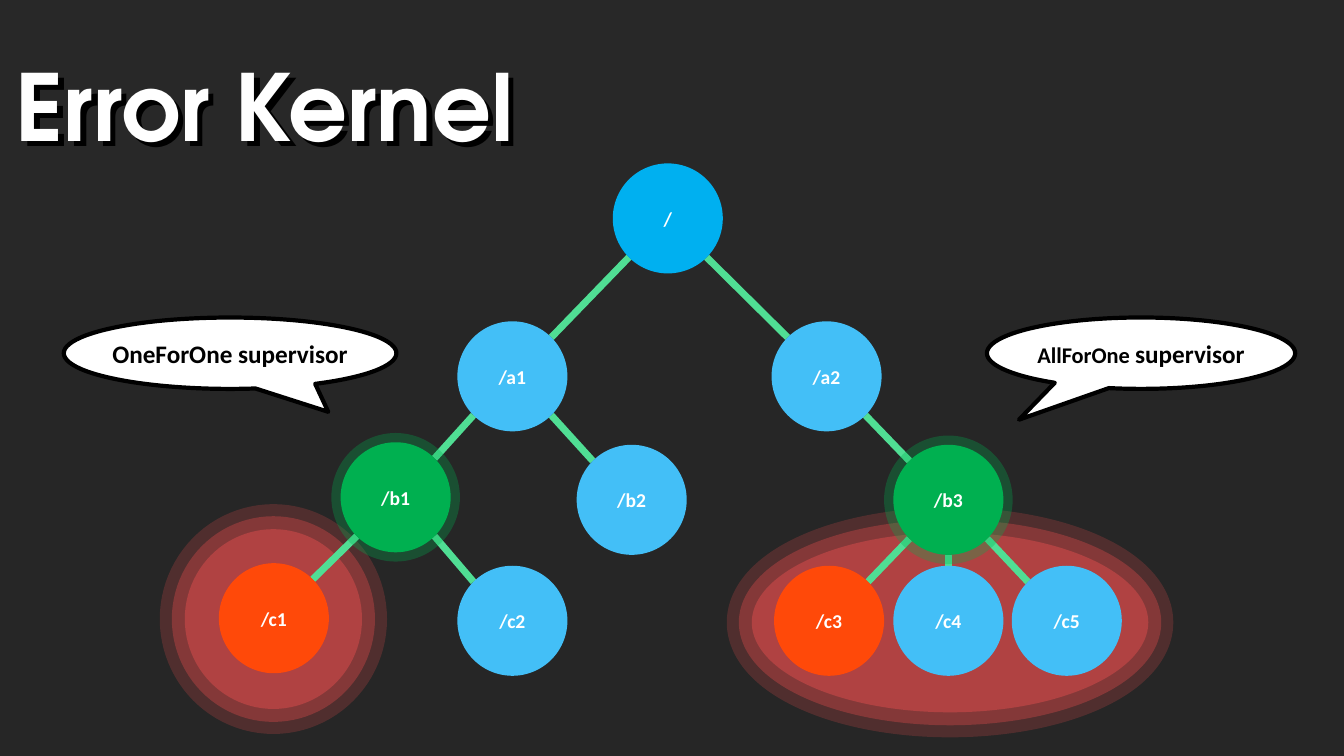
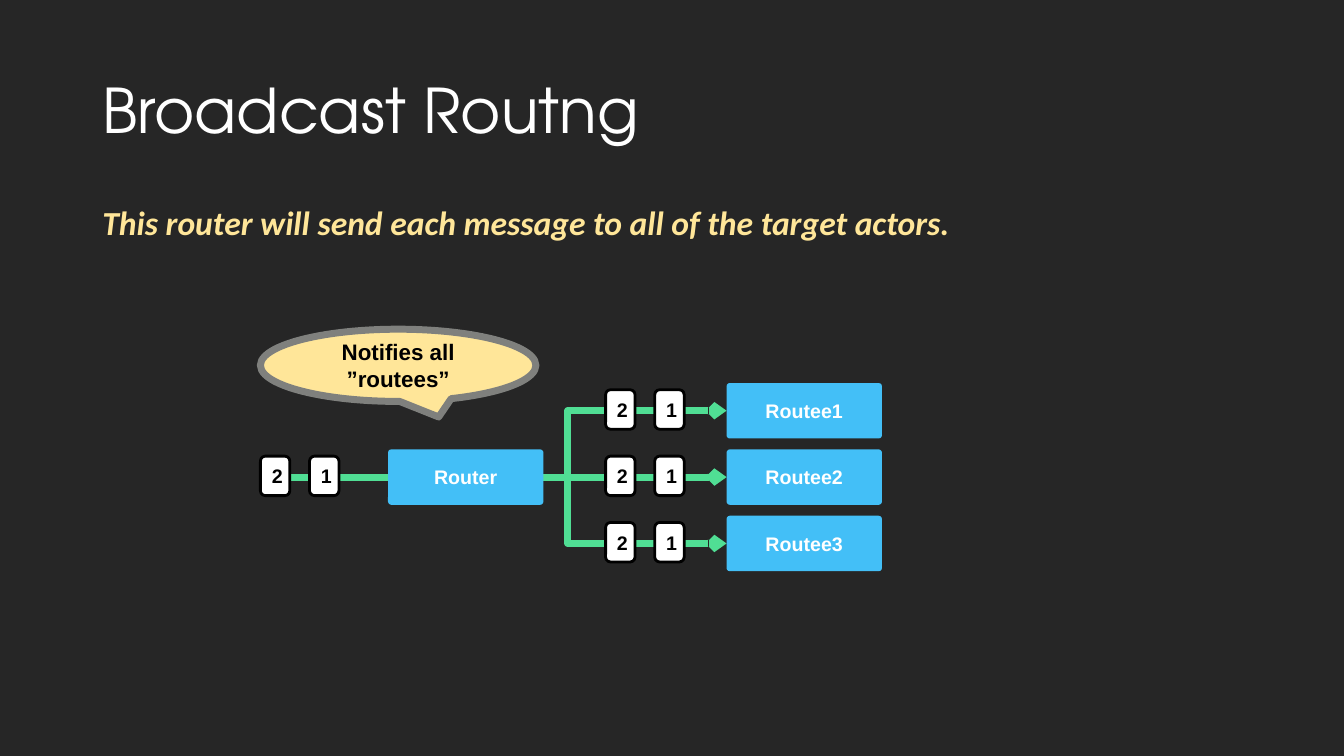
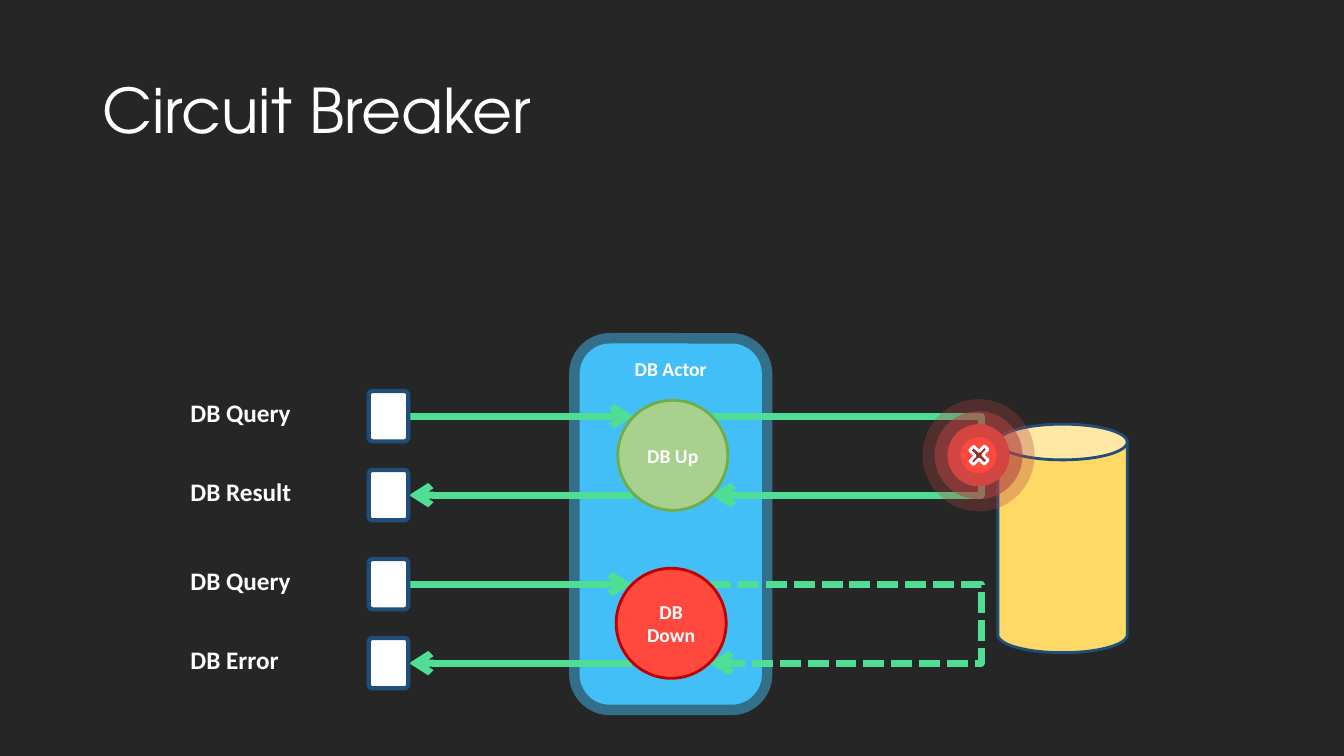
from dataclasses import dataclass
from math import sqrt
from typing import Optional

from lxml import etree
from pptx import Presentation
from pptx.dml.color import RGBColor
from pptx.enum.dml import MSO_LINE_DASH_STYLE
from pptx.enum.shapes import MSO_CONNECTOR, MSO_SHAPE
from pptx.enum.text import MSO_ANCHOR, MSO_AUTO_SIZE, PP_ALIGN
from pptx.oxml.ns import qn
from pptx.util import Emu, Pt

# The slide is a grid of 160 columns by 90 rows of square cells.
COLUMNS, ROWS = 160, 90
CELL = 76200

COLORS = {
    "background": "262626", "band": "282828", "white": "FFFFFF", "black": "000000",
    "link": "50DE94", "node": "43BFF7", "root": "00B0F0", "supervisor": "00B050",
    "failed": "FF4909", "halo": "B04242", "cream": "FFE699", "gray": "7F807D",
    "database": "FFD966", "navy": "1F4E79", "up": "A9D18E", "up_edge": "70AD47",
    "down": "FF493E", "down_edge": "C00000", "cross": "922E2E",
}
TITLE_FONT, BODY_FONT, LABEL_FONT = "TeX Gyre Adventor", "Calibri", "Arial"
ELLIPSE, ROUNDED = MSO_SHAPE.OVAL, MSO_SHAPE.ROUNDED_RECTANGLE
CALLOUT, CAN, CROSS = MSO_SHAPE.OVAL_CALLOUT, MSO_SHAPE.CAN, MSO_SHAPE.CROSS
STRAIGHT, ELBOW = MSO_CONNECTOR.STRAIGHT, MSO_CONNECTOR.ELBOW
LEFT, CENTER = PP_ALIGN.LEFT, PP_ALIGN.CENTER
TOP, MIDDLE = MSO_ANCHOR.TOP, MSO_ANCHOR.MIDDLE
DASHED = MSO_LINE_DASH_STYLE.SQUARE_DOT
LINK_WIDTH = 5
DIAMETER = 13.1


@dataclass(frozen=True)
class Box:
    left: float
    top: float
    width: float
    height: float

    def emu(self) -> list[Emu]:
        return [cells(value) for value in (self.left, self.top, self.width, self.height)]


@dataclass(frozen=True)
class Outline:
    color: str
    width: float
    opacity: int = 100


@dataclass(frozen=True)
class TextStyle:
    size: float
    color: str = "white"
    font: str = BODY_FONT
    bold: bool = True
    italic: bool = False
    align: PP_ALIGN = CENTER
    anchor: MSO_ANCHOR = MIDDLE
    wrap: bool = True
    spacing: float = 1.0


@dataclass(frozen=True)
class Node:
    name: str
    x: float
    y: float
    color: str = "node"
    parent: Optional[str] = None


@dataclass(frozen=True)
class Circuit:
    """One state of the database actor with its request and reply lanes."""
    state: str
    x: float
    y: float
    color: str
    edge: str
    reply: str
    dashed: bool


NODE_TEXT = TextStyle(14)
CARD_TEXT = TextStyle(14, "black", LABEL_FONT)
ROUTE_TEXT = TextStyle(14, font=LABEL_FONT)
LANE_TEXT = TextStyle(18, align=LEFT)
TITLE_TEXT = TextStyle(44, font=TITLE_FONT, bold=False, align=LEFT, spacing=0.9)
BIG_TITLE_TEXT = TextStyle(66, font=TITLE_FONT, align=LEFT, anchor=TOP)
TITLE_BOX = Box(11, 4.8, 138, 17.4)

NODES = [
    Node("/", 79.5, 26, "root"),
    Node("/a1", 61, 44.8, parent="/"),
    Node("/a2", 98.4, 44.8, parent="/"),
    Node("/b1", 47.1, 59.2, "supervisor", "/a1"),
    Node("/b2", 75.2, 59.5, parent="/a1"),
    Node("/b3", 112.9, 59.5, "supervisor", "/a2"),
    Node("/c1", 32.6, 73.6, "failed", "/b1"),
    Node("/c2", 61, 73.9, parent="/b1"),
    Node("/c3", 98.7, 73.9, "failed", "/b3"),
    Node("/c4", 112.9, 73.9, parent="/b3"),
    Node("/c5", 127, 73.9, parent="/b3"),
]
CIRCUITS = [
    Circuit("DB Up", 80.1, 54.2, "up", "up_edge", "DB Result", False),
    Circuit("DB Down", 79.9, 74.2, "down", "down_edge", "DB Error", True),
]


def cells(count: float) -> Emu:
    return Emu(round(count * CELL))


def rgb(name: str) -> RGBColor:
    return RGBColor.from_string(COLORS[name])


def set_opacity(parent, percent: int) -> None:
    """Make the solid colour directly inside a fill or line element see-through."""
    color = parent.find(qn("a:solidFill")).find(qn("a:srgbClr"))
    etree.SubElement(color, qn("a:alpha"), val=str(percent * 1000))


def set_outline(shape, outline: Outline) -> None:
    shape.line.color.rgb = rgb(outline.color)
    shape.line.width = Pt(outline.width)
    if outline.opacity < 100:
        set_opacity(shape.element.spPr.find(qn("a:ln")), outline.opacity)


def add_arrowhead(shape, size: str) -> None:
    line = shape.element.spPr.find(qn("a:ln"))
    etree.SubElement(line, qn("a:tailEnd"), type="arrow", w=size, len=size)


def write(shape, text: str, style: TextStyle) -> None:
    frame = shape.text_frame
    frame.text = text
    frame.word_wrap = style.wrap
    frame.auto_size = MSO_AUTO_SIZE.NONE
    frame.vertical_anchor = style.anchor
    paragraph = frame.paragraphs[0]
    paragraph.alignment = style.align
    paragraph.line_spacing = style.spacing
    for run in paragraph.runs:
        format_run(run, style)


def format_run(run, style: TextStyle) -> None:
    run.font.name = style.font
    run.font.size = Pt(style.size)
    run.font.bold = style.bold
    run.font.italic = style.italic
    run.font.color.rgb = rgb(style.color)


def add_shape(slide, kind: MSO_SHAPE, box: Box, fill: Optional[str] = None,
              outline: Optional[Outline] = None, adjustments: tuple[float, ...] = ()):
    shape = slide.shapes.add_shape(kind, *box.emu())
    shape.shadow.inherit = False
    for index, value in enumerate(adjustments):
        shape.adjustments[index] = value
    if fill:
        shape.fill.solid()
        shape.fill.fore_color.rgb = rgb(fill)
    else:
        shape.fill.background()
    if outline:
        set_outline(shape, outline)
    else:
        shape.line.fill.background()
    return shape


def add_text(slide, box: Box, text: str, style: TextStyle) -> None:
    write(slide.shapes.add_textbox(*box.emu()), text, style)


def add_circle(slide, x: float, y: float, text: str, fill: str,
               outline: Optional[Outline] = None) -> None:
    radius = DIAMETER / 2
    box = Box(x - radius, y - radius, DIAMETER, DIAMETER)
    write(add_shape(slide, ELLIPSE, box, fill, outline), text, NODE_TEXT)


def add_halo(slide, box: Box, fill: str) -> None:
    """A filled ellipse inside two see-through rings."""
    add_shape(slide, ELLIPSE, box, outline=Outline("halo", 35.75, 31))
    add_shape(slide, ELLIPSE, box, fill, Outline("halo", 18.5, 54))


def add_link(slide, x1: float, y1: float, x2: float, y2: float,
             kind: MSO_CONNECTOR = STRAIGHT, head: Optional[str] = None):
    link = slide.shapes.add_connector(kind, cells(x1), cells(y1), cells(x2), cells(y2))
    set_outline(link, Outline("link", LINK_WIDTH))
    if head:
        add_arrowhead(link, head)
    etree.SubElement(link.element.spPr, qn("a:effectLst"))
    return link


def add_title(slide, text: str, box: Box = TITLE_BOX, style: TextStyle = TITLE_TEXT):
    """Fill the title placeholder and bring it to the front."""
    title = slide.shapes.title
    title.left, title.top, title.width, title.height = box.emu()
    write(title, text, style)
    title.element.getparent().append(title.element)
    return title


def add_hard_shadow(shape) -> None:
    effects = etree.SubElement(shape.element.spPr, qn("a:effectLst"))
    shadow = etree.SubElement(effects, qn("a:outerShdw"), blurRad="0", dist="70000",
                              dir="2700000", algn="tl", rotWithShape="0")
    etree.SubElement(shadow, qn("a:srgbClr"), val=COLORS["black"])


def link_nodes(slide, parent: Node, child: Node) -> None:
    """Join two circles at their diagonal points, or straight down if aligned."""
    radius = DIAMETER / 2
    side = (child.x > parent.x) - (child.x < parent.x)
    drop = radius / sqrt(2) if side else radius
    shift = side * drop
    add_link(slide, parent.x + shift, parent.y + drop, child.x - shift, child.y - drop)


def draw_error_kernel(slide) -> None:
    shade = add_shape(slide, ROUNDED, Box(0, 34.6, COLUMNS, 3.5), "band", adjustments=(0,))
    set_opacity(shade.element.spPr, 50)
    add_halo(slide, Box(89.5, 63.4, 47.2, 21.4), "halo")
    add_halo(slide, Box(22, 63, 21.1, 21.4), "halo")
    add_shape(slide, ROUNDED, Box(0, 0, COLUMNS, 34.6), "band", adjustments=(0,))
    by_name = {node.name: node for node in NODES}
    for node in NODES:
        if node.parent:
            link_nodes(slide, by_name[node.parent], node)
    # Supervisors come last so that their rings lie over the links.
    for node in sorted(NODES, key=lambda item: item.color == "supervisor"):
        ring = Outline("supervisor", 13.25, 30) if node.color == "supervisor" else None
        add_circle(slide, node.x, node.y, node.name, node.color, ring)
    title = add_title(slide, "Error Kernel", Box(0.7, 5.2, 139.8, 14.5), BIG_TITLE_TEXT)
    add_hard_shadow(title)

    callouts = [
        (Box(7.6, 37.8, 39.6, 8.5), (0.295, 0.821), "OneForOne ", 18),
        (Box(117.5, 37.8, 36.7, 8.5), (-0.396, 0.931), "AllForOne ", 16),
    ]
    for box, pointer, strategy, size in callouts:
        callout = add_shape(slide, CALLOUT, box, "white", Outline("black", 3), pointer)
        write(callout, strategy, TextStyle(size, "black", wrap=False))
        run = callout.text_frame.paragraphs[0].add_run()
        run.text = "supervisor"
        format_run(run, TextStyle(18, "black"))


def add_messages(slide, left: float, lane: float) -> None:
    for index, number in enumerate("21"):
        box = Box(left + index * 5.85, lane - 2.5, 3.5, 4.7)
        card = add_shape(slide, ROUNDED, box, "white", Outline("black", 2))
        write(card, number, CARD_TEXT)


def add_route_box(slide, left: float, lane: float, name: str) -> None:
    box = Box(left, lane - 3.3, 18.5, 6.6)
    write(add_shape(slide, ROUNDED, box, "node", adjustments=(0.06,)), name, ROUTE_TEXT)


def draw_broadcast_routing(slide) -> None:
    add_title(slide, "Broadcast Routng")
    add_text(slide, Box(11, 24, 138, 57.1),
             "This router will send each message to all of the target actors.",
             TextStyle(24, "cream", italic=True, align=LEFT, anchor=TOP, spacing=0.9))
    router_left, routee_left, center = 46.2, 86.5, 56.8
    router_right = router_left + 18.5
    lanes = [center + step * 7.9 for step in (-1, 0, 1)]
    for lane in lanes:
        kind = STRAIGHT if lane == center else ELBOW
        link = add_link(slide, router_right, center, routee_left, lane, kind, "sm")
        if kind == ELBOW:
            guides = link.element.spPr.find(qn("a:prstGeom")).find(qn("a:avLst"))
            etree.SubElement(guides, qn("a:gd"), name="adj1", fmla="val 13400")
    add_link(slide, 33, center, router_left, center)
    add_messages(slide, 31, center)
    add_route_box(slide, router_left, center, "Router")
    for number, lane in enumerate(lanes, start=1):
        add_messages(slide, 72.1, lane)
        add_route_box(slide, routee_left, lane, f"Routee{number}")
    callout = add_shape(slide, CALLOUT, Box(31, 39.2, 32.8, 8.6), "cream",
                        Outline("gray", 5), (0.147, 0.715))
    write(callout, "Notifies all ”routees”", TextStyle(16, "black", LABEL_FONT))


def add_loop(slide, left: float, right: float, top: float, bottom: float,
             dashed: bool) -> None:
    """An arrow that runs right, down and back left."""
    corners = [(right, top), (right, bottom), (left, bottom)]
    builder = slide.shapes.build_freeform(cells(left), cells(top))
    builder.add_line_segments([(cells(x), cells(y)) for x, y in corners], close=False)
    loop = builder.convert_to_shape()
    loop.shadow.inherit = False
    loop.fill.background()
    set_outline(loop, Outline("link", LINK_WIDTH))
    if dashed:
        loop.line.dash_style = DASHED
    add_arrowhead(loop, "med")


def draw_circuit(slide, circuit: Circuit) -> None:
    request, reply = circuit.y - 4.65, circuit.y + 4.75
    card_right, state_left = 48.7, circuit.x - 4.7
    add_link(slide, card_right, request, state_left, request, head="med")
    add_link(slide, state_left, reply, card_right, reply, head="med")
    for lane, label in ((request, "DB Query"), (reply, circuit.reply)):
        add_shape(slide, ROUNDED, Box(43.9, lane - 3, 4.7, 6), "white",
                  Outline("navy", 3), (0.1,))
        add_text(slide, Box(21.5, lane - 3.2, 15.6, 5.6), label, LANE_TEXT)
    add_loop(slide, circuit.x + 4.6, 116.8, request, reply, circuit.dashed)
    add_circle(slide, circuit.x, circuit.y, circuit.state, circuit.color,
               Outline(circuit.edge, 2))


def draw_circuit_breaker(slide) -> None:
    add_shape(slide, CAN, Box(118.8, 50.5, 15.4, 27.2), "database",
              Outline("navy", 2), (0.276,))
    actor = add_shape(slide, ROUNDED, Box(69, 40.9, 21.7, 43), "node",
                      Outline("node", 15, 48))
    write(actor, "DB Actor", TextStyle(14, anchor=TOP))
    for circuit in CIRCUITS:
        draw_circuit(slide, circuit)
    add_halo(slide, Box(112.8, 50.5, 7.4, 7.4), "down")
    cross = add_shape(slide, CROSS, Box(115.3, 53, 2.5, 2.4), "cross",
                      Outline("white", 2), (0.379,))
    cross.rotation = 313.5
    add_title(slide, "Circuit Breaker")


def main() -> None:
    presentation = Presentation()
    presentation.slide_width = cells(COLUMNS)
    presentation.slide_height = cells(ROWS)
    background = presentation.slide_master.background.fill
    background.solid()
    background.fore_color.rgb = rgb("background")
    title_only = presentation.slide_layouts[5]
    for draw in (draw_error_kernel, draw_broadcast_routing, draw_circuit_breaker):
        draw(presentation.slides.add_slide(title_only))
    presentation.save("out.pptx")


if __name__ == "__main__":
    main()
